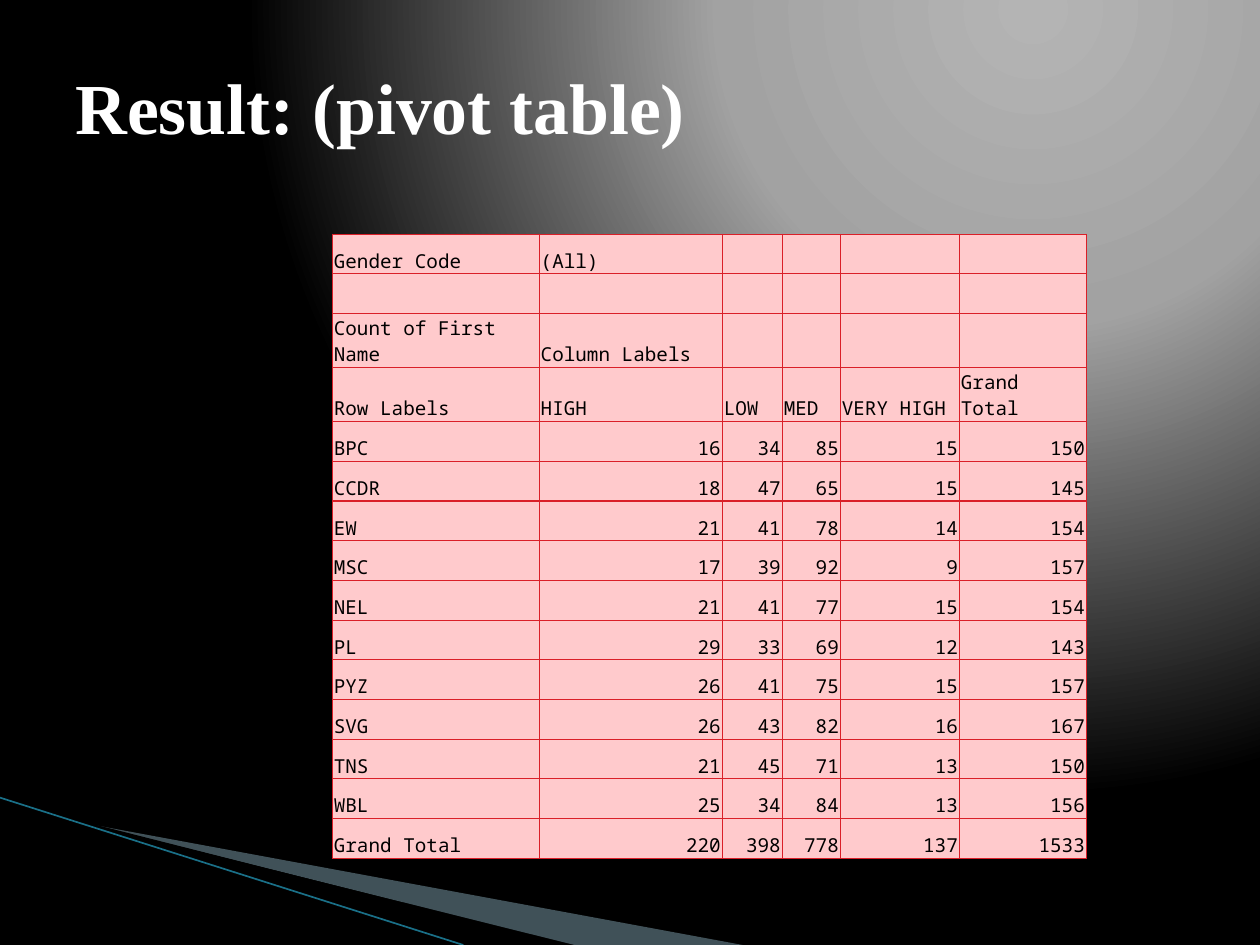
from lxml.etree import SubElement
from pptx import Presentation
from pptx.dml.color import RGBColor
from pptx.enum.shapes import MSO_CONNECTOR
from pptx.enum.text import MSO_ANCHOR, PP_ALIGN
from pptx.oxml import parse_xml
from pptx.oxml.ns import nsdecls, qn
from pptx.util import Cm, Pt

WHITE = RGBColor(0xFF, 0xFF, 0xFF)
BLACK = RGBColor(0, 0, 0)
PINK = RGBColor(0xFF, 0xCA, 0xCC)
RED = RGBColor(0xDA, 0x1F, 0x28)
MIST = RGBColor(0xA0, 0xCB, 0xDC)
TEAL = RGBColor(0x1A, 0x70, 0x88)

STOPS = [(0, "B4B4B4"), (40, "A2A2A2"), (100, "000000")]
TITLE = {"name": "Times New Roman", "size": Pt(41), "bold": True}
BODY = {"name": "Noto Sans Mono", "size": Pt(11)}
CELL = {"vertical_anchor": MSO_ANCHOR.BOTTOM, "margin_left": Cm(0.03),
        "margin_right": Cm(0.03), "margin_top": Cm(0.03), "margin_bottom": 0}

# Pivot table content
WIDTHS = [4.17, 3.69, 1.21, 1.17, 2.4, 2.56]
ROWS = [
    ["Gender Code", "(All)"],
    [],
    ["Count of First Name", "Column Labels"],
    ["Row Labels", "HIGH", "LOW", "MED", "VERY HIGH", "Grand Total"],
    ["BPC", 16, 34, 85, 15, 150],
    ["CCDR", 18, 47, 65, 15, 145],
    ["EW", 21, 41, 78, 14, 154],
    ["MSC", 17, 39, 92, 9, 157],
    ["NEL", 21, 41, 77, 15, 154],
    ["PL", 29, 33, 69, 12, 143],
    ["PYZ", 26, 41, 75, 15, 157],
    ["SVG", 26, 43, 82, 16, 167],
    ["TNS", 21, 45, 71, 13, 150],
    ["WBL", 25, 34, 84, 13, 156],
    ["Grand Total", 220, 398, 778, 137, 1533],
]
# Rows 2 and 3 hold labels that wrap to two lines
HEIGHTS = [1.09 if index in (2, 3) else 0.8 for index in range(len(ROWS))]


def style(item, form):
    for key, value in form.items():
        setattr(item, key, value)


def write(para, text, form, color):
    run = para.add_run()
    run.text = text
    style(run.font, form)
    run.font.color.rgb = color


def paint(slide):
    stops = "".join(f'<a:gs pos="{pos * 1000}"><a:srgbClr val="{color}"/></a:gs>'
                    for pos, color in STOPS)
    slide.element.cSld.insert(0, parse_xml(
        f'<p:bg {nsdecls("p", "a")}><p:bgPr><a:gradFill rotWithShape="1">'
        f'<a:gsLst>{stops}</a:gsLst><a:path path="circle">'
        '<a:fillToRect l="65000" t="0" r="0" b="98000"/></a:path>'
        '</a:gradFill><a:effectLst/></p:bgPr></p:bg>'))


def add_wedge(slide, points, color, alpha=100):
    spots = [(Cm(x), Cm(y)) for x, y in points]
    pen = slide.shapes.build_freeform(*spots[0])
    pen.add_line_segments(spots[1:], close=True)
    wedge = pen.convert_to_shape()
    wedge.shadow.inherit = False
    wedge.fill.solid()
    wedge.fill.fore_color.rgb = color
    wedge.line.fill.background()
    if alpha < 100:
        tint = wedge.element.spPr.find(".//" + qn("a:srgbClr"))
        SubElement(tint, qn("a:alpha"), val=str(alpha * 1000))


def add_line(slide, start, end, color):
    line = slide.shapes.add_connector(
        MSO_CONNECTOR.STRAIGHT, *(Cm(n) for n in start + end))
    line.line.color.rgb = color
    line.line.width = Pt(0.95)
    SubElement(line.element.spPr, qn("a:effectLst"))


def add_title(slide, text):
    box = slide.shapes.add_textbox(Cm(1.27), Cm(0.94), Cm(22.86), Cm(2.39))
    frame = box.text_frame
    style(frame, {"word_wrap": True, "vertical_anchor": MSO_ANCHOR.MIDDLE})
    write(frame.paragraphs[0], text, TITLE, WHITE)


def fill_cell(cell, value):
    style(cell, CELL)
    # Borders come before the fill in the cell properties
    props = cell._tc.get_or_add_tcPr()
    for side in "LRTB":
        edge = SubElement(props, qn("a:ln" + side), w=str(Pt(0.75)))
        fill = SubElement(edge, qn("a:solidFill"))
        SubElement(fill, qn("a:srgbClr"), val=str(RED))
    cell.fill.solid()
    cell.fill.fore_color.rgb = PINK
    para = cell.text_frame.paragraphs[0]
    if value == "":
        para._p.get_or_add_endParaRPr().set("sz", "1100")
        return
    if isinstance(value, int):
        para.alignment = PP_ALIGN.RIGHT
    write(para, str(value), BODY, BLACK)


def add_pivot(slide):
    count = len(WIDTHS)
    table = slide.shapes.add_table(
        len(ROWS), count, Cm(6.7), Cm(4.72),
        Cm(sum(WIDTHS)), Cm(sum(HEIGHTS))).table
    style(table, {"first_row": False, "horz_banding": False})
    for col, width in zip(table.columns, WIDTHS):
        col.width = Cm(width)
    for row, height, values in zip(table.rows, HEIGHTS, ROWS):
        row.height = Cm(height)
        for cell, value in zip(row.cells, values + [""] * (count - len(values))):
            fill_cell(cell, value)


def main():
    deck = Presentation()
    style(deck, {"slide_width": Cm(25.4), "slide_height": Cm(19.05)})
    slide = deck.slides.add_slide(deck.slide_layouts[6])
    paint(slide)
    # Corner decoration
    add_wedge(slide, [(1.4, 16.54), (14.97, 19.05), (11.58, 19.05), (1.4, 16.51)],
              MIST, 40)
    add_wedge(slide, [(1.35, 16.48), (11.46, 19.05), (9.4, 19.05), (1.37, 16.51)],
              BLACK)
    add_line(slide, (0, 16.08), (9.34, 19.05), TEAL)
    # Content
    add_title(slide, "Result: (pivot table)")
    add_pivot(slide)
    deck.save("out.pptx")


if __name__ == "__main__":
    main()
